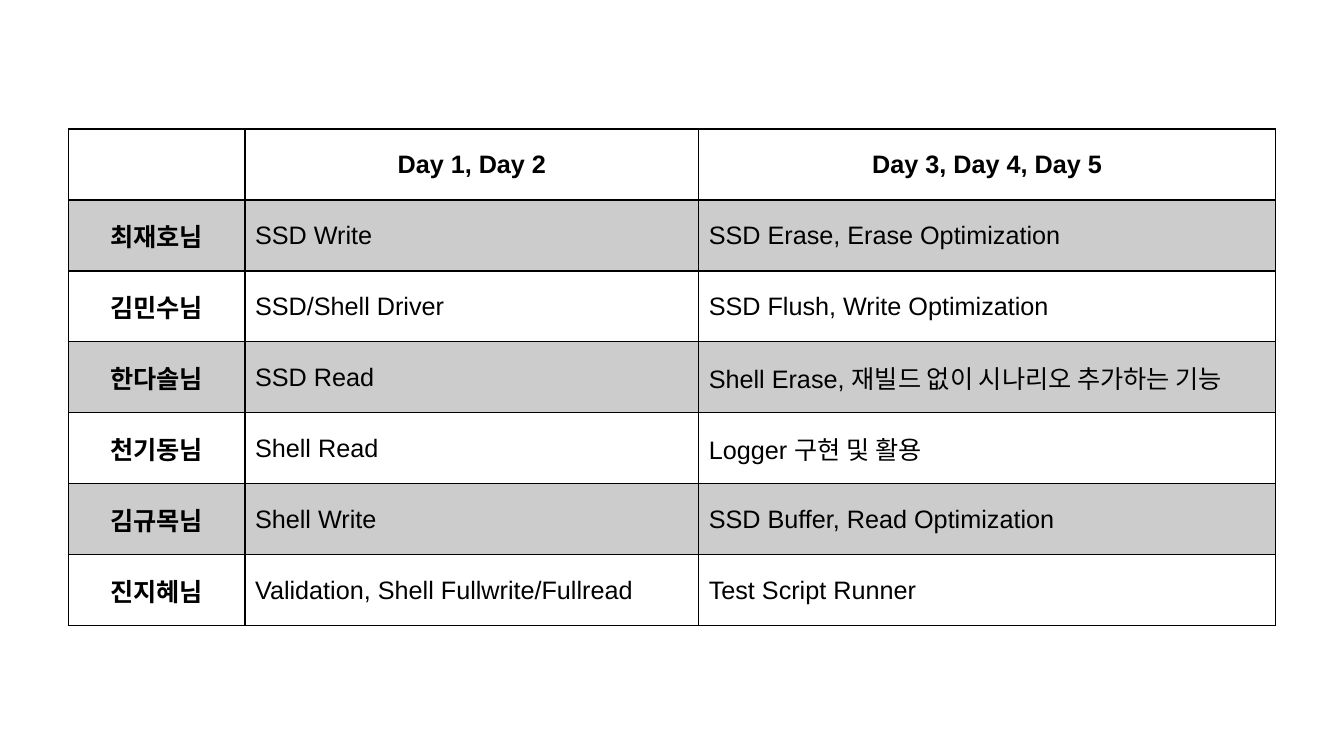
from lxml import etree
from pptx import Presentation
from pptx.dml.color import RGBColor
from pptx.enum.text import MSO_ANCHOR, PP_ALIGN
from pptx.oxml.ns import qn
from pptx.util import Inches, Pt

CENTER, LEFT = PP_ALIGN.CENTER, PP_ALIGN.LEFT
MIDDLE = MSO_ANCHOR.MIDDLE
BLACK = RGBColor(0x00, 0x00, 0x00)
BAND_OPACITY = 20  # percent
THIN, THICK = Pt(1), Pt(2)
BLANK_LAYOUT = 6

COLUMN_WIDTHS = [1.75, 4.5, 5.72]
ASSIGNMENTS = [
    ("", "Day 1, Day 2", "Day 3, Day 4, Day 5"),
    ("최재호님", "SSD Write", "SSD Erase, Erase Optimization"),
    ("김민수님", "SSD/Shell Driver", "SSD Flush, Write Optimization"),
    ("한다솔님", "SSD Read", "Shell Erase, 재빌드 없이 시나리오 추가하는 기능"),
    ("천기동님", "Shell Read", "Logger 구현 및 활용"),
    ("김규목님", "Shell Write", "SSD Buffer, Read Optimization"),
    ("진지혜님", "Validation, Shell Fullwrite/Fullread", "Test Script Runner"),
]


class SlideBuilder:
    """Holds the table style and the current slide."""

    font_format = {"name": "Arial", "size": Pt(18)}

    def __init__(self, slide):
        self.slide = slide

    def add_table(self, left, top, height, column_widths, rows):
        shape = self.slide.shapes.add_table(
            len(rows), len(column_widths), Inches(left), Inches(top),
            Inches(sum(column_widths)), Inches(height))
        table = shape.table
        table.first_row = table.horz_banding = False
        for column, width in zip(table.columns, column_widths):
            column.width = Inches(width)
        for row_index, row in enumerate(rows):
            for column_index, text in enumerate(row):
                cell = table.cell(row_index, column_index)
                is_heading = row_index == 0 or column_index == 0
                self.write_cell(cell, text, is_heading)
                # The rule below the header row is thicker
                self.add_borders(cell, {
                    "a:lnL": THIN,
                    "a:lnR": THIN,
                    "a:lnT": THICK if row_index == 1 else THIN,
                    "a:lnB": THICK if row_index == 0 else THIN,
                })
                self.fill_cell(cell, banded=row_index % 2 == 1)

    def write_cell(self, cell, text, is_heading):
        cell.vertical_anchor = MIDDLE
        paragraph = cell.text_frame.paragraphs[0]
        paragraph.alignment = CENTER if is_heading else LEFT
        if not text:
            return
        run = paragraph.add_run()
        run.text = text
        run.font.color.rgb = BLACK
        for name, value in {**self.font_format, "bold": is_heading}.items():
            setattr(run.font, name, value)

    def add_borders(self, cell, widths):
        properties = cell._tc.get_or_add_tcPr()
        for tag, width in widths.items():
            line = etree.SubElement(properties, qn(tag), w=str(width))
            fill = etree.SubElement(line, qn("a:solidFill"))
            etree.SubElement(fill, qn("a:srgbClr"), val=str(BLACK))

    def fill_cell(self, cell, banded):
        if not banded:
            cell.fill.background()
            return
        cell.fill.solid()
        cell.fill.fore_color.rgb = BLACK
        color = cell._tc.tcPr.find(qn("a:solidFill")).find(qn("a:srgbClr"))
        etree.SubElement(color, qn("a:alpha"), val=str(BAND_OPACITY * 1000))


def main():
    presentation = Presentation()
    presentation.slide_width = Inches(13.33)
    presentation.slide_height = Inches(7.5)
    layout = presentation.slide_layouts[BLANK_LAYOUT]
    builder = SlideBuilder(presentation.slides.add_slide(layout))

    # Work assignments by person and day
    builder.add_table(0.68, 1.28, 4.93, COLUMN_WIDTHS, ASSIGNMENTS)

    presentation.save("out.pptx")


if __name__ == "__main__":
    main()
